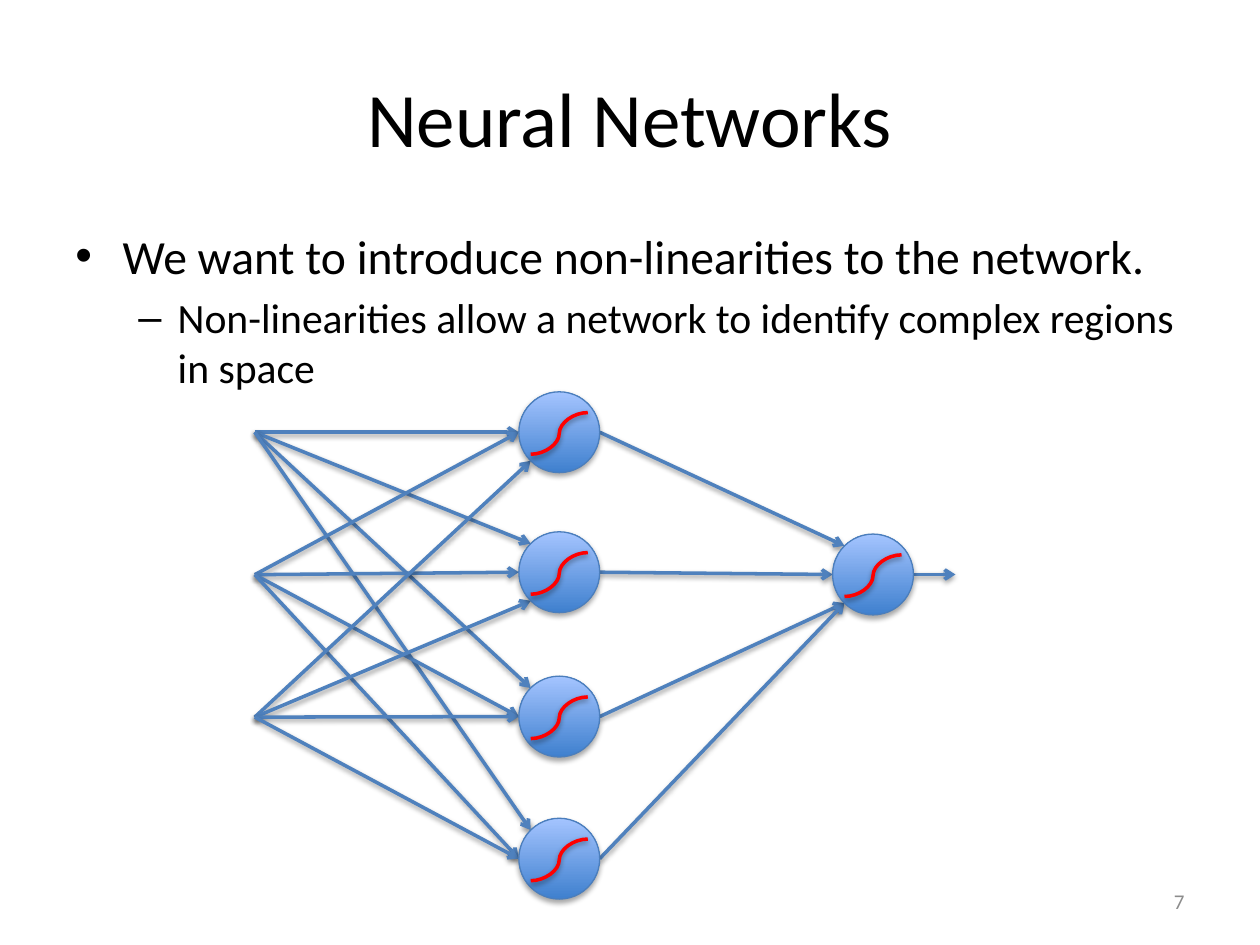
from dataclasses import dataclass
from math import sqrt

from lxml import etree
from pptx import Presentation
from pptx import util as u
from pptx.dml.color import RGBColor
from pptx.enum import shapes as sh
from pptx.enum import text as tx
from pptx.oxml import ns

FONT = "Calibri"
HUES = {
    "text": "000000",
    "page": "8C8C8C",
    "edge": "4F81BD",
    "rim": "4B7EBC",
    "low": "3F80CE",
    "high": "A4C4FF",
    "curve": "FF0000",
    "shade": "000000",
}
R = 23.1  # node radius
DIAG = R / sqrt(2)


@dataclass
class Spot:
    x: float
    y: float


@dataclass
class Item:
    words: str
    size: float
    mark: str
    left: float
    hang: float
    gap: float


INPUTS = [Spot(145.6, 247 + 81.4 * i) for i in range(3)]
HIDDEN = [Spot(319.6, y) for y in (247, 327, 409.5, 490.7)]
OUTPUT = Spot(498.9, 328.3)

# Where each input meets each hidden node: L left, T top left, B bottom left
SIDES = ["LTTT", "LLLL", "BBLL"]
OUT_SIDES = "TLBB"

ITEMS = [
    Item("We want to introduce non-linearities to the network.",
         27.2, "•", 27, 27, 0),
    Item("Non-linearities allow a network to identify complex regions in space",
         23.8, "–", 58.5, 22.5, 4.8),
]


def hue(name: str) -> RGBColor:
    return RGBColor.from_string(HUES[name])


def add_sub(node, tag: str, **attrs):
    return etree.SubElement(node, ns.qn(tag), attrs)


def cast(shape, dist: float, alpha: int) -> None:
    """Give the shape a soft shadow straight below it."""
    list_ = add_sub(shape._element.spPr, "a:effectLst")
    drop = add_sub(list_, "a:outerShdw", blurRad=str(u.Pt(3.1)),
                   dist=str(u.Pt(dist)), dir="5400000", rotWithShape="0")
    tint = add_sub(drop, "a:srgbClr", val=HUES["shade"])
    add_sub(tint, "a:alpha", val=str(alpha * 1000))


def add_line(home, kind, a: Spot, b: Spot, name: str):
    line = home.add_connector(kind, u.Pt(a.x), u.Pt(a.y), u.Pt(b.x), u.Pt(b.y))
    line.line.color.rgb = hue(name)
    line.line.width = u.Pt(2)
    cast(line, 1.6, 38)
    return line


def add_edge(home, a: Spot, b: Spot) -> None:
    line = add_line(home, sh.MSO_CONNECTOR.STRAIGHT, a, b, "edge")
    add_sub(line.line._get_or_add_ln(), "a:tailEnd", type="arrow")


def entry(node: Spot, side: str) -> Spot:
    """Point on the rim of a node where an edge comes in."""
    if side == "L":
        return Spot(node.x - R, node.y)
    return Spot(node.x - DIAG, node.y + (DIAG if side == "B" else -DIAG))


def exit_of(node: Spot) -> Spot:
    return Spot(node.x + R, node.y)


def add_node(home, node: Spot) -> None:
    """Disc with a sigmoid curve, as one group."""
    group = home.add_group_shape().shapes
    disc = group.add_shape(sh.MSO_SHAPE.OVAL, u.Pt(node.x - R),
                           u.Pt(node.y - R), u.Pt(2 * R), u.Pt(2 * R))
    disc.fill.gradient()
    disc.fill.gradient_angle = 90
    for stop, name in zip(disc.fill.gradient_stops, ("low", "high")):
        stop.color.rgb = hue(name)
    disc.line.color.rgb = hue("rim")
    disc.line.width = u.Pt(0.75)
    cast(disc, 1.8, 35)
    add_line(group, sh.MSO_CONNECTOR.CURVE, Spot(node.x - 16.3, node.y + 12.6),
             Spot(node.x + 16.3, node.y - 11.2), "curve")


def add_box(home, x: float, y: float, w: float, h: float, anchor):
    frame = home.add_textbox(u.Pt(x), u.Pt(y), u.Pt(w), u.Pt(h)).text_frame
    frame.word_wrap = True
    frame.vertical_anchor = anchor
    return frame


def add_run(para, words: str, size: float, name: str) -> None:
    run = para.add_run()
    run.text = words
    run.font.name = FONT
    run.font.size = u.Pt(size)
    run.font.color.rgb = hue(name)


def add_items(frame, items: list[Item]) -> None:
    for i, item in enumerate(items):
        para = frame.add_paragraph() if i else frame.paragraphs[0]
        para.space_before = u.Pt(item.gap)
        props = para._p.get_or_add_pPr()
        props.set("marL", str(u.Pt(item.left)))
        props.set("indent", str(-u.Pt(item.hang)))
        add_sub(props, "a:buFont", typeface="Arial")
        add_sub(props, "a:buChar", char=item.mark)
        add_run(para, item.words, item.size, "text")


def main() -> None:
    deck = Presentation()
    deck.slide_width, deck.slide_height = u.Pt(720), u.Pt(540)
    home = deck.slides.add_slide(deck.slide_layouts[6]).shapes

    title = add_box(home, 36, 21.6, 648, 90, tx.MSO_ANCHOR.MIDDLE).paragraphs[0]
    title.alignment = tx.PP_ALIGN.CENTER
    add_run(title, "Neural Networks", 44, "text")

    add_items(add_box(home, 36, 126, 648, 90, tx.MSO_ANCHOR.TOP), ITEMS)

    page = add_box(home, 516, 500.5, 168, 28.8, tx.MSO_ANCHOR.MIDDLE).paragraphs[0]
    page.alignment = tx.PP_ALIGN.RIGHT
    add_run(page, "7", 12, "page")

    for start, sides in zip(INPUTS, SIDES):
        for node, side in zip(HIDDEN, sides):
            add_edge(home, start, entry(node, side))
    for node, side in zip(HIDDEN, OUT_SIDES):
        add_edge(home, exit_of(node), entry(OUTPUT, side))
    add_edge(home, exit_of(OUTPUT), Spot(546, OUTPUT.y))

    for node in HIDDEN + [OUTPUT]:
        add_node(home, node)

    deck.save("out.pptx")


if __name__ == "__main__":
    main()
